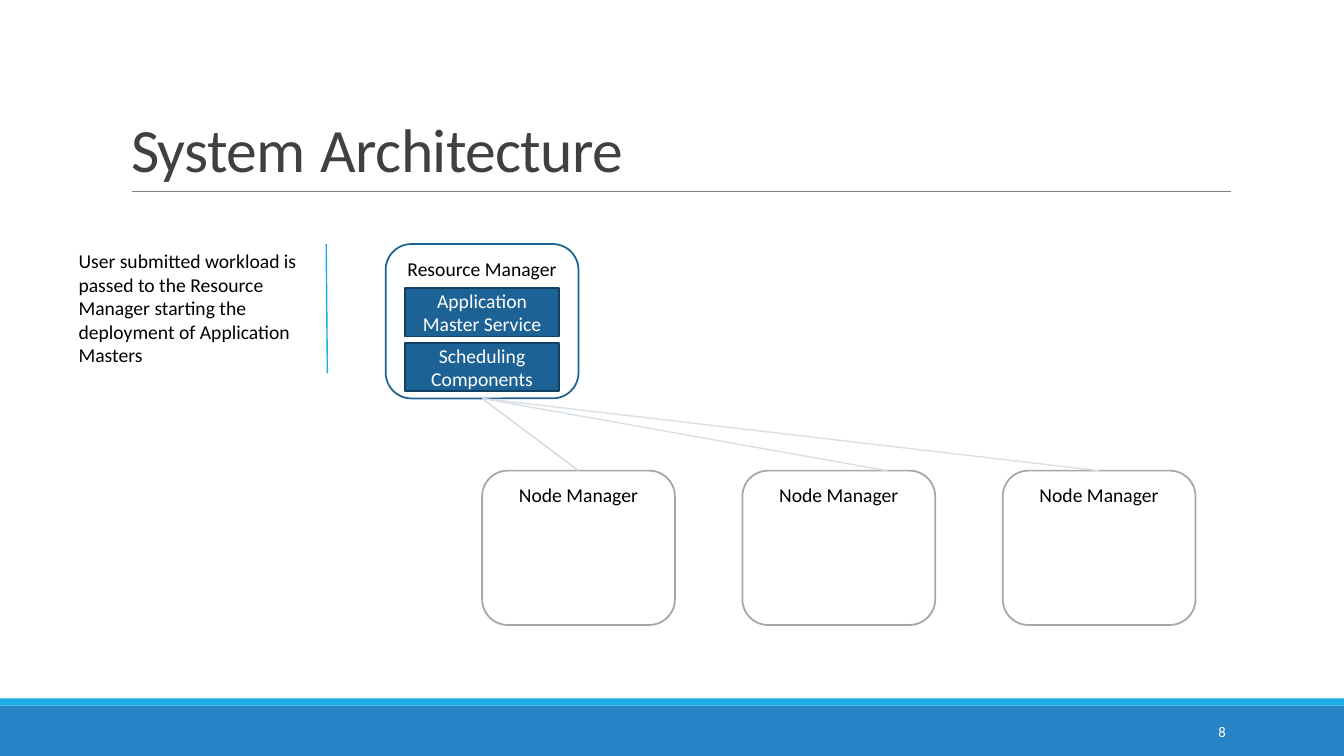
"""Build the System Architecture slide."""
from lxml.etree import SubElement
from pptx import Presentation
from pptx.dml.color import RGBColor as Rgb
from pptx.enum.shapes import MSO_CONNECTOR as Link, MSO_SHAPE as Kind
from pptx.enum.text import MSO_ANCHOR as Anchor, MSO_AUTO_SIZE as Fit, PP_ALIGN as Align
from pptx.oxml.ns import qn
from pptx.util import Cm, Pt

HUES = {
    "blue": "2683C6", "sky": "1CADE4", "navy": "1D6294", "edge": "134163",
    "rule": "808080", "gray": "A6A6A6", "pale": "D9D9D9", "mist": "D9E0E6",
    "title": "404040", "black": "000000", "white": "FFFFFF",
}
FONT = "Calibri"
TITLE = [("System", 44), (" ", 48), ("Architecture", 44)]
NOTE = ("User submitted workload is passed to the Resource Manager "
        "starting the deployment of Application Masters")
MAIN = "Resource Manager"
PARTS = ["Application Master Service", "Scheduling Components"]
NODES = ["Node Manager"] * 3
LINKS = [(14.58, "pale"), (22.35, "mist"), (27.69, "mist")]
PAGE = "8"

WIDE, HIGH = 33.87, 19.05
BOX_W, BOX_H = 4.86, 3.89
MAIN_X, MAIN_Y = 9.72, 6.15
PART_W, PART_H, PART_Y, PART_STEP = 3.89, 1.22, 7.26, 1.38
NODE_X, NODE_Y, NODE_STEP = 12.15, 11.86, 6.56


def hue(name):
    return Rgb.from_string(HUES[name])


def style(run, size, color):
    font = run.font
    font.name, font.size = FONT, Pt(size)
    font.color.rgb = hue(color)


def write(shape, text, size=14, color="black", align=Align.CENTER, anchor=Anchor.TOP):
    frame = shape.text_frame
    frame.text = text
    frame.word_wrap = True
    frame.vertical_anchor = anchor
    para = frame.paragraphs[0]
    para.alignment = align
    style(para.runs[0], size, color)


def block(slide, kind, x, y, w, h, fill=None, edge=None):
    shape = slide.shapes.add_shape(kind, Cm(x), Cm(y), Cm(w), Cm(h))
    shape.shadow.inherit = False
    if fill:
        shape.fill.solid()
        shape.fill.fore_color.rgb = hue(fill)
    else:
        shape.fill.background()
    if edge:
        shape.line.color.rgb = hue(edge)
        shape.line.width = Pt(1.25)
    else:
        shape.line.fill.background()
    return shape


def join(slide, x1, y1, x2, y2, color, width=1):
    line = slide.shapes.add_connector(Link.STRAIGHT, Cm(x1), Cm(y1), Cm(x2), Cm(y2))
    line.line.color.rgb = hue(color)
    line.line.width = Pt(width)
    SubElement(line._element.spPr, qn("a:effectLst"))


def label(slide, x, y, w, h, text, **look):
    box = slide.shapes.add_textbox(Cm(x), Cm(y), Cm(w), Cm(h))
    write(box, text, **look)


def head(slide):
    title = slide.shapes.title
    title.left, title.top, title.width, title.height = Cm(3.05), Cm(0.79), Cm(27.94), Cm(4.04)
    frame = title.text_frame
    frame.word_wrap, frame.auto_size = True, Fit.NONE
    frame.vertical_anchor = Anchor.BOTTOM
    para = frame.paragraphs[0]
    para.alignment, para.line_spacing = Align.LEFT, 0.85
    for text, size in TITLE:
        run = para.add_run()
        run.text = text
        style(run, size, "title")
        run.font._element.set("spc", "-50")


def main():
    deck = Presentation()
    deck.slide_width, deck.slide_height = Cm(WIDE), Cm(HIGH)
    slide = deck.slides.add_slide(deck.slide_layouts[5])

    block(slide, Kind.RECTANGLE, 0, 17.78, WIDE, 1.27, "blue")
    block(slide, Kind.RECTANGLE, 0, 17.6, WIDE, 0.18, "sky")
    join(slide, 3.33, 4.82, 31.01, 4.82, "rule", 0.5)
    head(slide)

    label(slide, 1.73, 6.15, 6.53, 3.25, NOTE, align=Align.LEFT)
    join(slide, 8.22, 6.15, 8.25, 9.4, "sky")

    box = block(slide, Kind.ROUNDED_RECTANGLE, MAIN_X, MAIN_Y, BOX_W, BOX_H, edge="navy")
    write(box, MAIN)
    part_x = MAIN_X + (BOX_W - PART_W) / 2
    for i, text in enumerate(PARTS):
        part = block(slide, Kind.RECTANGLE, part_x, PART_Y + i * PART_STEP,
                     PART_W, PART_H, "navy", "edge")
        write(part, text, color="white", anchor=Anchor.MIDDLE)

    for i, text in enumerate(NODES):
        node = block(slide, Kind.ROUNDED_RECTANGLE, NODE_X + i * NODE_STEP, NODE_Y,
                     BOX_W, BOX_H, edge="gray")
        write(node, text)
    for x, color in LINKS:
        join(slide, MAIN_X + BOX_W / 2, MAIN_Y + BOX_H, x, NODE_Y, color)

    label(slide, 27.51, 17.93, 3.63, 1.02, PAGE, size=10.5, color="white",
          align=Align.RIGHT, anchor=Anchor.MIDDLE)
    deck.save("out.pptx")


if __name__ == "__main__":
    main()
